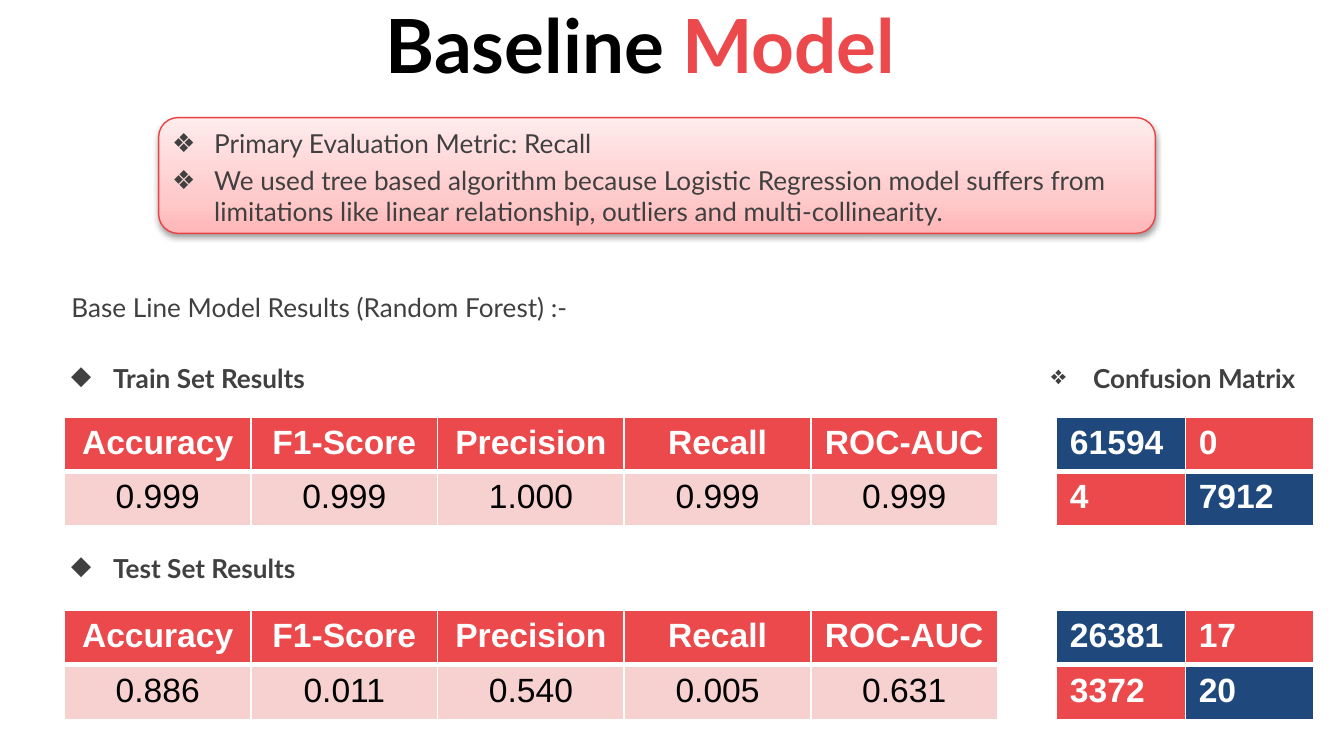
from dataclasses import dataclass

import pptx
import pptx.dml.color
import pptx.enum.shapes
import pptx.enum.text
import pptx.oxml
import pptx.oxml.ns
import pptx.util

Pt = pptx.util.Pt
ALIGN = pptx.enum.text.PP_ALIGN
ANCHOR = pptx.enum.text.MSO_ANCHOR

RED, PINK, NAVY = "EB494B", "F7D0D0", "1F497D"
WHITE, BLACK, GREY = "FFFFFF", "000000", "404040"
INDENT = 22.5
ROW_HEIGHT = 29.2
METRICS = ["Accuracy", "F1-Score", "Precision", "Recall", "ROC-AUC"]


@dataclass
class Box:
    left: float
    top: float
    width: float
    height: float

    def lengths(self) -> tuple:
        return Pt(self.left), Pt(self.top), Pt(self.width), Pt(self.height)


@dataclass
class Heading:
    text: str
    bullet: str
    box: Box


@dataclass
class ResultSet:
    top: float
    scores: list[str]
    confusion: list[list[str]]


def color(value: str) -> pptx.dml.color.RGBColor:
    return pptx.dml.color.RGBColor.from_string(value)


def xml(tag: str, attributes: str = "", content: str = ""):
    namespace = pptx.oxml.ns.nsdecls("a")
    return pptx.oxml.parse_xml(f"<a:{tag} {namespace} {attributes}>{content}</a:{tag}>")


def solid(value: str) -> str:
    return f'<a:solidFill><a:srgbClr val="{value}"/></a:solidFill>'


def set_font(font, name: str, size: float, value: str, bold: bool) -> None:
    font.name, font.size, font.bold = name, Pt(size), bold
    font.color.rgb = color(value)


def place(shape, box: Box) -> None:
    shape.left, shape.top, shape.width, shape.height = box.lengths()


def write_lines(shape, lines: list[str], bullet: str = "", bold: bool = False,
                space: float = 0) -> None:
    frame = shape.text_frame
    frame.word_wrap = True
    frame.auto_size = pptx.enum.text.MSO_AUTO_SIZE.NONE
    frame.vertical_anchor = ANCHOR.MIDDLE
    frame.text = "\n".join(lines)
    for paragraph in frame.paragraphs:
        paragraph.space_before = Pt(space)
        properties = paragraph._p.get_or_add_pPr()
        indent = Pt(INDENT) if bullet else 0
        properties.set("marL", str(indent))
        properties.set("indent", str(-indent))
        properties.append(xml("buChar", f'char="{bullet}"') if bullet else xml("buNone"))
        set_font(paragraph.font, "Lato", 14, GREY, bold)


def add_heading(slide, heading: Heading) -> None:
    shape = slide.shapes.add_textbox(*heading.box.lengths())
    write_lines(shape, [heading.text], heading.bullet, bold=True)


def add_panel(slide, box: Box) -> None:
    panel = slide.shapes.add_shape(
        pptx.enum.shapes.MSO_SHAPE.ROUNDED_RECTANGLE, *box.lengths())
    panel.line.color.rgb = color("EA4345")
    panel.line.width = Pt(0.75)
    properties = panel._element.spPr
    stops = "".join(
        f'<a:gs pos="{position * 1000}"><a:srgbClr val="{value}"/></a:gs>'
        for position, value in [(0, "FFB7B8"), (35, "FFCCCD"), (100, "FFECEC")])
    gradient = f'<a:gsLst>{stops}</a:gsLst><a:lin ang="16200000" scaled="0"/>'
    properties.insert(2, xml("gradFill", 'rotWithShape="1"', gradient))
    shadow = (f'<a:outerShdw blurRad="{Pt(3.1)}" dist="{Pt(1.6)}" dir="5400000" '
              f'rotWithShape="0"><a:srgbClr val="{BLACK}"><a:alpha val="38000"/>'
              '</a:srgbClr></a:outerShdw>')
    properties.append(xml("effectLst", content=shadow))
    # The panel lies behind the placeholders
    slide.shapes._spTree.insert(2, panel._element)


def add_table(slide, left: float, top: float, column_width: float,
              rows: list[list[str]], fills: list[list[str]],
              alignment, body_color: str, body_bold: bool) -> None:
    columns = len(rows[0])
    box = Box(left, top, column_width * columns, ROW_HEIGHT * len(rows))
    table = slide.shapes.add_table(len(rows), columns, *box.lengths()).table
    for column in table.columns:
        column.width = Pt(column_width)
    for row_index, row in enumerate(rows):
        table.rows[row_index].height = Pt(ROW_HEIGHT)
        header = row_index == 0
        for column_index, text in enumerate(row):
            cell = table.cell(row_index, column_index)
            cell.text = text
            paragraph = cell.text_frame.paragraphs[0]
            paragraph.alignment = alignment
            set_font(paragraph.font, "Arial", 18,
                     WHITE if header else body_color, header or body_bold)
            # Borders come before the fill in the cell properties
            properties = cell._tc.get_or_add_tcPr()
            for side in "LRTB":
                thick = (header and side == "B") or (not header and side == "T")
                properties.append(xml(f"ln{side}", f'w="{Pt(3 if thick else 1)}"',
                                      solid(WHITE)))
            cell.fill.solid()
            cell.fill.fore_color.rgb = color(fills[row_index][column_index])


def main() -> None:
    presentation = pptx.Presentation()
    presentation.slide_width, presentation.slide_height = Pt(720), Pt(405)
    slide = presentation.slides.add_slide(presentation.slide_layouts[3])
    title, notes, subtitle = slide.placeholders

    # Title in two colours
    place(title, Box(198, -4.5, 290, 55.5))
    title.text_frame.word_wrap = False
    title.text_frame.auto_size = pptx.enum.text.MSO_AUTO_SIZE.NONE
    paragraph = title.text_frame.paragraphs[0]
    paragraph.alignment = ALIGN.CENTER
    for text, value in [("Baseline ", BLACK), ("Model", RED)]:
        run = paragraph.add_run()
        run.text = text
        set_font(run.font, "Lato", 40, value, True)

    # Notes on the method, on a shaded panel
    add_panel(slide, Box(85, 63, 534, 62))
    place(notes, Box(85, 79, 550, 32))
    write_lines(notes, [
        "Primary Evaluation Metric: Recall",
        "We used tree based algorithm because Logistic Regression model suffers from "
        "limitations like linear relationship, outliers and multi-collinearity.",
    ], "❖", space=2.8)

    # Headings
    place(subtitle, Box(31, 153.5, 550, 22))
    write_lines(subtitle, ["Base Line Model Results (Random Forest) :-"], space=2.8)
    for heading in [
        Heading("Train Set Results", "◆", Box(31, 190.5, 230, 24)),
        Heading("Test Set Results", "◆", Box(31, 292.5, 230, 24)),
        Heading("Confusion Matrix", "❖", Box(556, 190.5, 158, 24)),
    ]:
        add_heading(slide, heading)

    # Scores and confusion matrix of each set
    for result in [
        ResultSet(223.5, ["0.999", "0.999", "1.000", "0.999", "0.999"],
                  [["61594", "0"], ["4", "7912"]]),
        ResultSet(327, ["0.886", "0.011", "0.540", "0.005", "0.631"],
                  [["26381", "17"], ["3372", "20"]]),
    ]:
        add_table(slide, 34.5, result.top, 100, [METRICS, result.scores],
                  [[RED] * 5, [PINK] * 5], ALIGN.CENTER, BLACK, False)
        add_table(slide, 566, result.top, 69, result.confusion,
                  [[NAVY, RED], [RED, NAVY]], ALIGN.LEFT, WHITE, True)

    presentation.save("out.pptx")


if __name__ == "__main__":
    main()
